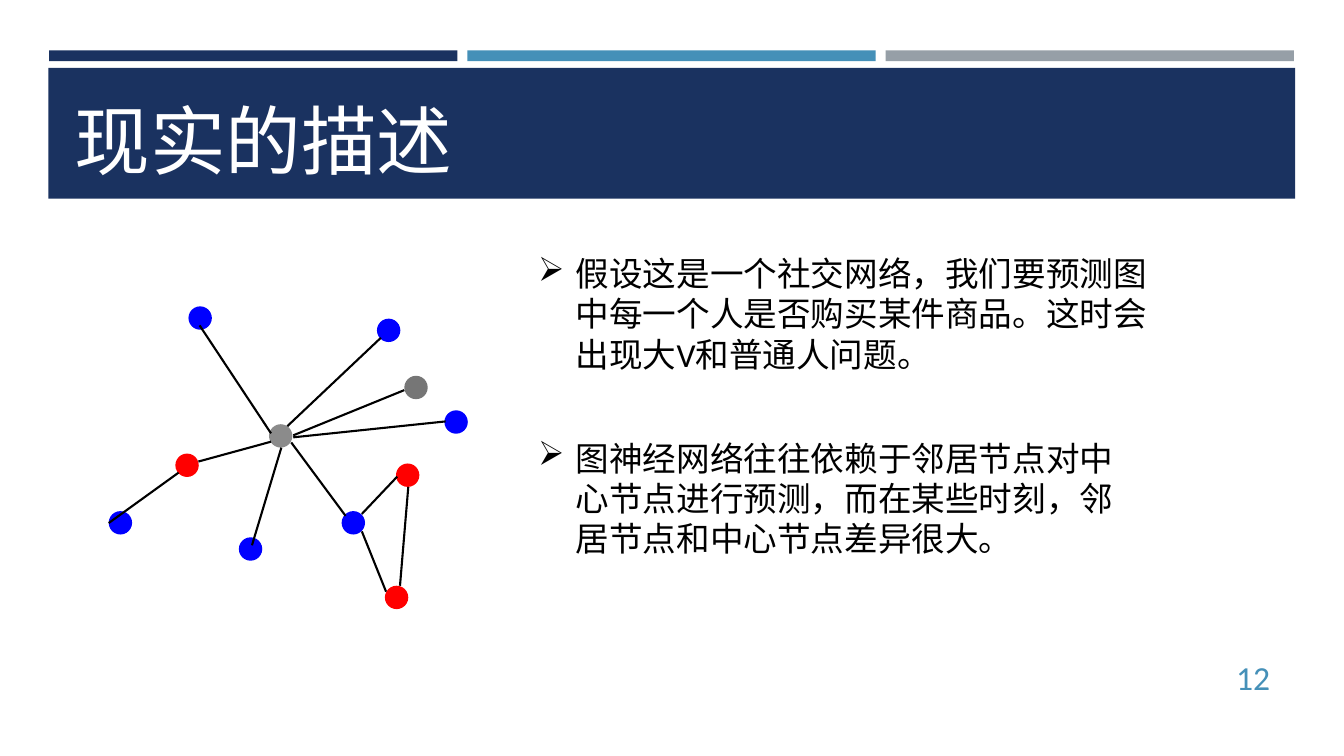
from typing import NamedTuple

from lxml.etree import SubElement
from pptx import Presentation
from pptx.dml.color import RGBColor
from pptx.enum.shapes import MSO_CONNECTOR, MSO_SHAPE
from pptx.enum.text import MSO_ANCHOR, PP_ALIGN
from pptx.oxml.ns import qn
from pptx.util import Cm, Pt

COLORS = {
    "navy": "1A3260", "sky": "4590B8", "steel": "969FA7",
    "white": "FFFFFF", "black": "000000", "blue": "0000FF",
    "red": "FF0000", "gray": "8B8B8B", "dark": "767676",
}
DOT = 0.59  # node diameter in cm


class Box(NamedTuple):
    left: float
    top: float
    width: float
    height: float


class Node(NamedTuple):
    left: float
    top: float
    color: str


class Link(NamedTuple):
    x1: float
    y1: float
    x2: float
    y2: float


class Label(NamedTuple):
    box: Box
    text: str
    size: int
    color: str
    anchor: MSO_ANCHOR = MSO_ANCHOR.TOP
    align: PP_ALIGN = PP_ALIGN.LEFT
    bullet: str = ""


LABELS = [
    Label(Box(1.63, 1.96, 30.63, 2.82), "现实的描述", 54, "white", MSO_ANCHOR.BOTTOM),
    Label(Box(29.34, 16.54, 2.92, 1.02), "12", 24, "sky",
          MSO_ANCHOR.MIDDLE, PP_ALIGN.RIGHT),
    Label(Box(13.31, 6.25, 16.54, 3.33),
          "假设这是一个社交网络，我们要预测图中每一个人是否购买某件商品。"
          "这时会出现大V和普通人问题。", 24, "black", bullet="➢"),
    Label(Box(13.31, 10.9, 15.54, 3.33),
          "图神经网络往往依赖于邻居节点对中心节点进行预测，"
          "而在某些时刻，邻居节点和中心节点差异很大。", 24, "black", bullet="➢"),
]

NODES = [
    Node(4.75, 7.72, "blue"), Node(11.2, 10.34, "blue"),
    Node(2.74, 12.88, "blue"), Node(9.5, 8.03, "blue"),
    Node(6.02, 13.54, "blue"), Node(6.78, 10.69, "gray"),
    Node(8.61, 12.88, "blue"), Node(4.42, 11.43, "red"),
    Node(9.7, 14.76, "red"), Node(9.98, 11.68, "red"),
]
FRONT = Node(10.19, 9.47, "dark")

LINKS = [
    Link(10.29, 12.27, 10.08, 14.76), Link(7.09, 11.28, 6.35, 13.74),
    Link(6.83, 11.13, 5, 11.63), Link(9.6, 8.51, 7.24, 10.74),
    Link(10.01, 12.01, 9.12, 12.95), Link(9.12, 13.39, 9.73, 14.91),
    Link(11.23, 10.62, 7.39, 11.02), Link(2.74, 13.18, 4.5, 11.91),
    Link(6.83, 10.92, 5.03, 8.2), Link(10.19, 9.83, 7.39, 10.97),
    Link(8.71, 13, 7.34, 11.15),
]


def rgb(name: str) -> RGBColor:
    return RGBColor.from_string(COLORS[name])


def add_form(slide, kind: MSO_SHAPE, box: Box, color: str) -> None:
    form = slide.shapes.add_shape(kind, *map(Cm, box))
    form.shadow.inherit = False
    form.fill.solid()
    form.fill.fore_color.rgb = rgb(color)
    form.line.fill.background()


def add_node(slide, node: Node) -> None:
    add_form(slide, MSO_SHAPE.OVAL, Box(node.left, node.top, DOT, DOT), node.color)


def add_link(slide, link: Link) -> None:
    line = slide.shapes.add_connector(MSO_CONNECTOR.STRAIGHT, *map(Cm, link))
    line.line.color.rgb = rgb("black")
    line.line.width = Pt(1.5)
    SubElement(line._element.spPr, qn("a:effectLst"))


def add_label(slide, label: Label) -> None:
    frame = slide.shapes.add_textbox(*map(Cm, label.box)).text_frame
    frame.word_wrap = True
    frame.vertical_anchor = label.anchor
    para = frame.paragraphs[0]
    para.text = label.text
    para.alignment = label.align
    para.font.name = "Calibri"
    para.font.size = Pt(label.size)
    para.font.color.rgb = rgb(label.color)
    if label.bullet:
        props = para._p.get_or_add_pPr()
        props.set("marL", str(Cm(0.95)))
        props.set("indent", str(-Cm(0.95)))
        mark = props.makeelement(qn("a:buChar"), {"char": label.bullet})
        props.insert(0, mark)


def main() -> None:
    deck = Presentation()
    deck.slide_width, deck.slide_height = Cm(33.87), Cm(19.05)
    slide = deck.slides.add_slide(deck.slide_layouts[6])

    # Header bars and banner
    for i, color in enumerate(("navy", "sky", "steel")):
        bar = Box(1.24 + i * 10.54, 1.27, 10.29, 0.27)
        add_form(slide, MSO_SHAPE.RECTANGLE, bar, color)
    add_form(slide, MSO_SHAPE.RECTANGLE, Box(1.22, 1.71, 31.42, 3.3), "navy")

    # Title, page number and bullets
    for label in LABELS:
        add_label(slide, label)

    # Network, with one node in front of its link
    for node in NODES:
        add_node(slide, node)
    for link in LINKS:
        add_link(slide, link)
    add_node(slide, FRONT)

    deck.save("out.pptx")


if __name__ == "__main__":
    main()
